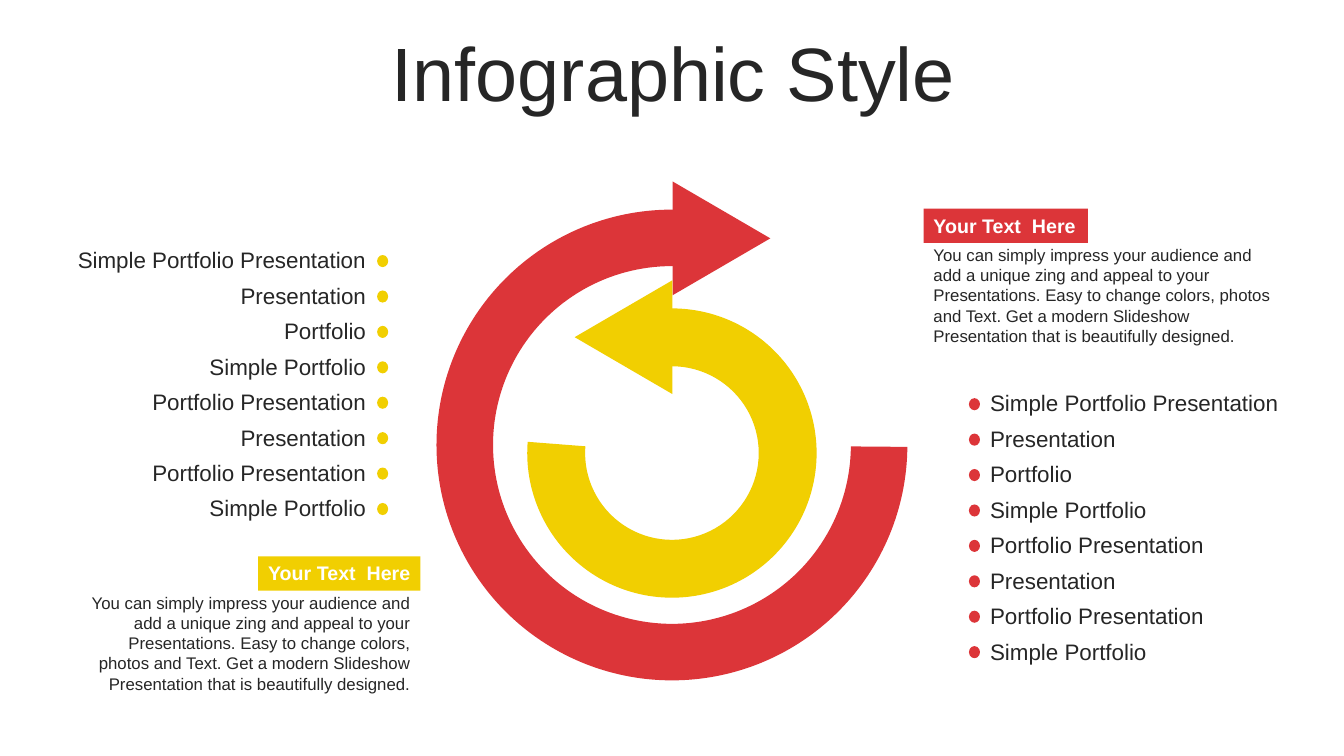
from dataclasses import dataclass

import lxml.etree
import pptx
import pptx.dml.color
import pptx.enum.shapes
import pptx.enum.text
import pptx.oxml.ns
import pptx.util

Inches = pptx.util.Inches
Shape = pptx.enum.shapes.MSO_SHAPE
Align = pptx.enum.text.PP_ALIGN
Anchor = pptx.enum.text.MSO_ANCHOR


@dataclass(frozen=True)
class Theme:
    font: str = "Arial"
    ink: str = "262626"
    white: str = "FFFFFF"
    red: str = "DC3539"
    yellow: str = "F1CF01"
    title_size: float = 54
    list_size: float = 16
    label_size: float = 14
    body_size: float = 12
    list_pitch: float = 25.3


class InfographicSlide:
    def __init__(self, presentation, theme):
        self.theme = theme
        self.slide = presentation.slides.add_slide(presentation.slide_layouts[3])

    def place(self, shape, left, top, width, height):
        shape.left, shape.top = Inches(left), Inches(top)
        shape.width, shape.height = Inches(width), Inches(height)

    def style(self, paragraph, size, color, align, bold=False):
        paragraph.alignment = align
        paragraph.font.name = self.theme.font
        paragraph.font.size = pptx.util.Pt(size)
        paragraph.font.bold = bold
        paragraph.font.color.rgb = pptx.dml.color.RGBColor.from_string(color)

    def title(self, text, *box):
        heading = self.slide.shapes.title
        self.place(heading, *box)
        frame = heading.text_frame
        frame.text = text
        frame.word_wrap = True
        frame.auto_size = pptx.enum.text.MSO_AUTO_SIZE.NONE
        frame.vertical_anchor = Anchor.MIDDLE
        frame.paragraphs[0].line_spacing = 0.9
        self.style(frame.paragraphs[0], self.theme.title_size, self.theme.ink, Align.CENTER)

    def shape(self, kind, color, *box, rotation=0, adjustments=()):
        solid = self.slide.shapes.add_shape(kind, *map(Inches, box))
        solid.shadow.inherit = False
        solid.fill.solid()
        solid.fill.fore_color.rgb = pptx.dml.color.RGBColor.from_string(color)
        solid.line.fill.background()
        solid.rotation = rotation
        for index, value in enumerate(adjustments):
            solid.adjustments[index] = value
        return solid

    def label(self, text, color, align, *box):
        frame = self.shape(Shape.RECTANGLE, color, *box).text_frame
        frame.text = text
        frame.word_wrap = True
        frame.vertical_anchor = Anchor.TOP
        self.style(frame.paragraphs[0], self.theme.label_size, self.theme.white, align, bold=True)

    def description(self, text, align, *box):
        frame = self.slide.shapes.add_textbox(*map(Inches, box)).text_frame
        frame.text = text
        frame.word_wrap = True
        self.style(frame.paragraphs[0], self.theme.body_size, self.theme.ink, align)

    def dotted_list(self, index, items, color, align, left, top, dot_left):
        pitch = self.theme.list_pitch / 72
        body = self.slide.placeholders[index]
        self.place(body, left, top, 3.1, pitch * len(items))
        frame = body.text_frame
        frame.text = "\n".join(items)
        frame.word_wrap = True
        frame.auto_size = pptx.enum.text.MSO_AUTO_SIZE.NONE
        frame.vertical_anchor = Anchor.TOP
        frame.margin_top = frame.margin_bottom = 0
        for row, item in enumerate(frame.paragraphs):
            properties = item._p.get_or_add_pPr()
            properties.set("marL", "0")
            properties.set("indent", "0")
            lxml.etree.SubElement(properties, pptx.oxml.ns.qn("a:buNone"))
            item.line_spacing = pptx.util.Pt(self.theme.list_pitch)
            item.space_before = pptx.util.Pt(0)
            self.style(item, self.theme.list_size, self.theme.ink, align)
            self.shape(Shape.OVAL, color, dot_left, top + 0.17 + row * pitch, 0.11, 0.12)


def main():
    theme = Theme()
    presentation = pptx.Presentation()
    presentation.slide_width = Inches(13.33)
    presentation.slide_height = Inches(7.5)
    page = InfographicSlide(presentation, theme)

    label = "Your Text  Here"
    description = (
        "You can simply impress your audience and add a unique zing and appeal to your "
        "Presentations. Easy to change colors, photos and Text. Get a modern Slideshow "
        "Presentation that is beautifully designed."
    )
    topics = [
        "Simple Portfolio Presentation",
        "Presentation",
        "Portfolio",
        "Simple Portfolio",
        "Portfolio Presentation",
        "Presentation",
        "Portfolio Presentation",
        "Simple Portfolio",
    ]

    page.title("Infographic Style", 0.35, 0.37, 12.66, 0.79)

    page.shape(Shape.BLOCK_ARC, theme.red, 4.33, 2.08, 4.67, 4.67,
               adjustments=(0.28, 162.46, 0.12))
    page.shape(Shape.ISOSCELES_TRIANGLE, theme.red, 6.59, 1.88, 1.13, 0.97, rotation=90)
    page.shape(Shape.BLOCK_ARC, theme.yellow, 5.23, 3.06, 2.87, 2.87,
               adjustments=(161.8, 110.67, 0.2))
    page.shape(Shape.ISOSCELES_TRIANGLE, theme.yellow, 5.62, 2.86, 1.13, 0.97, rotation=270)

    page.label(label, theme.yellow, Align.RIGHT, 2.56, 5.52, 1.61, 0.34)
    page.description(description, Align.RIGHT, 0.64, 5.83, 3.53, 1.11)
    page.label(label, theme.red, Align.LEFT, 9.16, 2.07, 1.63, 0.34)
    page.description(description, Align.LEFT, 9.16, 2.38, 3.66, 1.11)

    page.dotted_list(1, topics, theme.yellow, Align.RIGHT, 0.63, 2.36, 3.74)
    page.dotted_list(2, topics, theme.red, Align.LEFT, 9.72, 3.78, 9.61)

    presentation.save("out.pptx")


if __name__ == "__main__":
    main()
